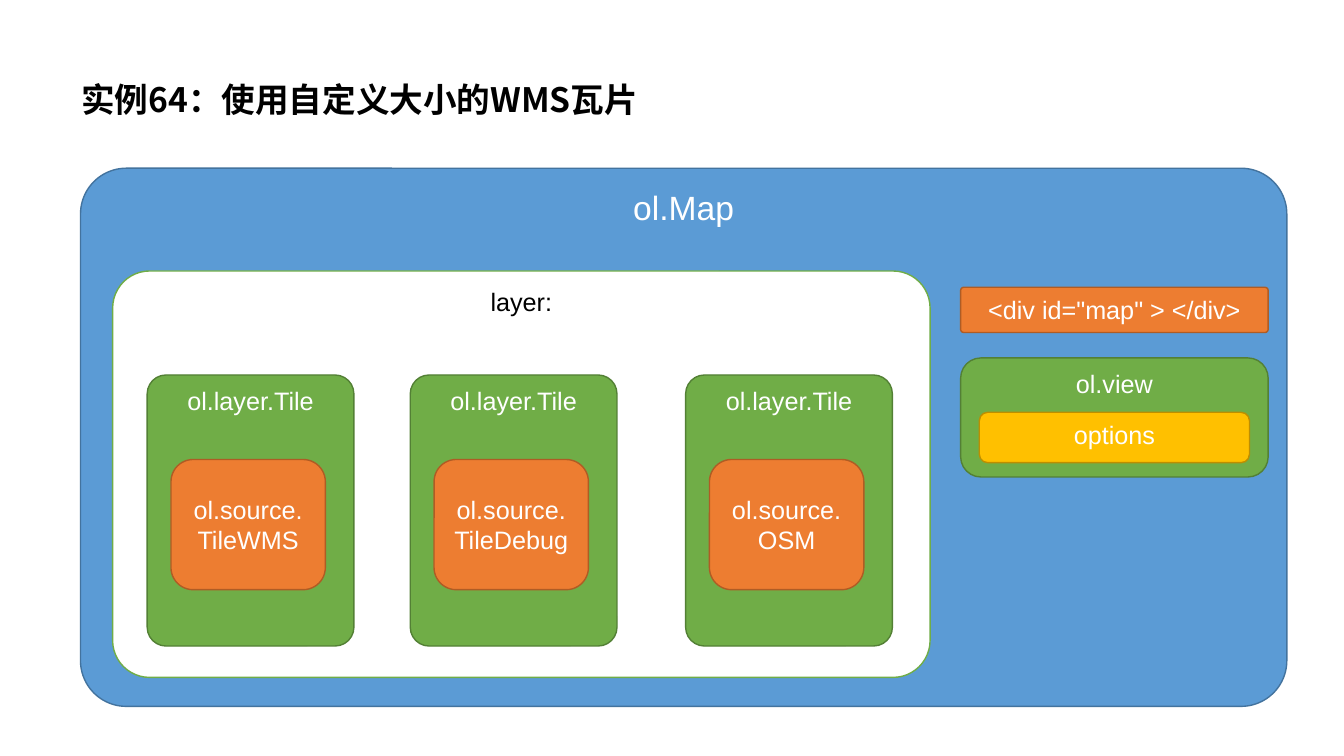
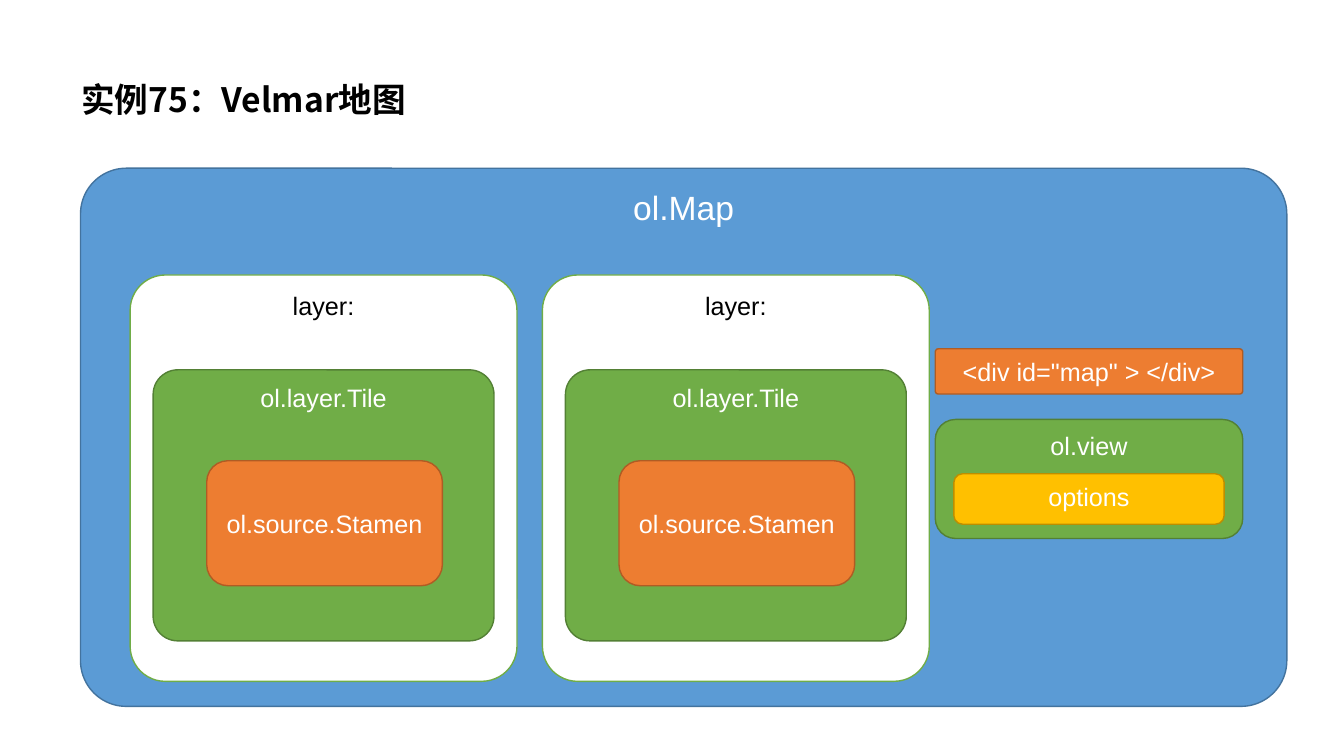
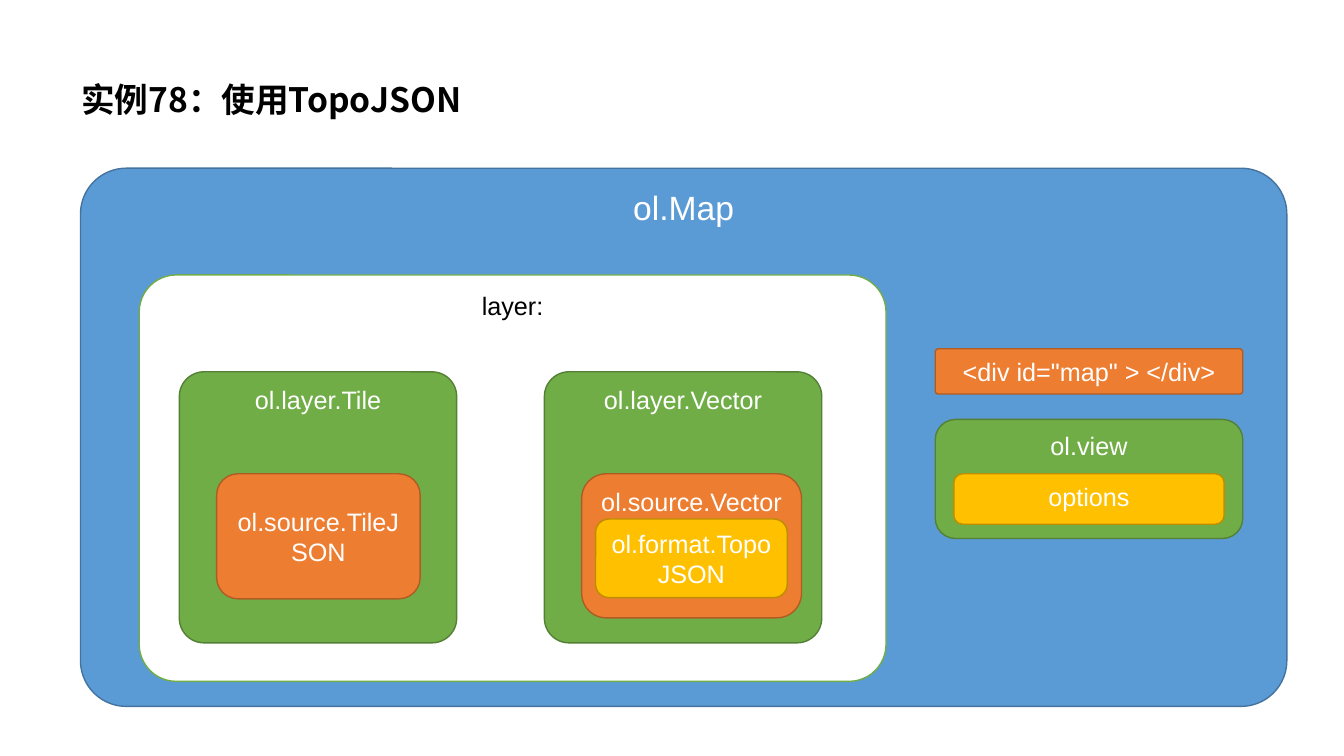
from dataclasses import dataclass, field
from typing import Any

import lxml.etree
import pptx
import pptx.dml.color
import pptx.enum.shapes
import pptx.enum.text
import pptx.oxml.ns
import pptx.util

Cm = pptx.util.Cm
Pt = pptx.util.Pt
Align = pptx.enum.text.PP_ALIGN
Anchor = pptx.enum.text.MSO_ANCHOR
ROUND = pptx.enum.shapes.MSO_SHAPE.ROUNDED_RECTANGLE


@dataclass(frozen=True)
class Style:
    fill: str
    line: str
    ink: str = "FFFFFF"
    size: int = 18
    curve: float = 0.17
    mid: bool = False


@dataclass(frozen=True)
class Theme:
    ink: str = "000000"
    head_face: str = "Noto Sans CJK SC"
    face: str = "Arial"
    head_size: int = 24
    edge: int = 1
    map: Style = Style("5B9BD5", "43739E", size=24, curve=0.085)
    layer: Style = Style("FFFFFF", "70AD47", ink="000000", curve=0.091)
    tile: Style = Style("70AD47", "538035", curve=0.091)
    source: Style = Style("ED7D31", "AF5C24", mid=True)
    outer: Style = Style("ED7D31", "AF5C24")
    div: Style = Style("ED7D31", "AF5C24", curve=0.069, mid=True)
    view: Style = Style("70AD47", "538035")
    inner: Style = Style("FFC000", "BD8E00")


@dataclass(frozen=True)
class Box:
    text: str
    style: Style
    left: float
    top: float
    width: float
    height: float


@dataclass(frozen=True)
class Page:
    title: str
    side: tuple[float, float]
    boxes: list[Box] = field(default_factory=list)


THEME = Theme()


def put(target: Any, values: dict[str, Any]) -> None:
    for name, value in values.items():
        setattr(target, name, value)


def color(code: str) -> pptx.dml.color.RGBColor:
    return pptx.dml.color.RGBColor.from_string(code)


def draw_box(shapes: Any, box: Box) -> None:
    style = box.style
    shape = shapes.add_shape(
        ROUND, Cm(box.left), Cm(box.top), Cm(box.width), Cm(box.height))
    shape.shadow.inherit = False
    shape.adjustments[0] = style.curve
    shape.fill.solid()
    shape.fill.fore_color.rgb = color(style.fill)
    shape.line.color.rgb = color(style.line)
    shape.line.width = Pt(THEME.edge)
    frame = shape.text_frame
    put(frame, {
        "word_wrap": True,
        "vertical_anchor": Anchor.MIDDLE if style.mid else Anchor.TOP,
        "text": box.text,
    })
    line = frame.paragraphs[0]
    line.alignment = Align.CENTER
    font = line.runs[0].font
    put(font, {"name": THEME.face, "size": Pt(style.size)})
    font.color.rgb = color(style.ink)


def draw_title(slide: Any, text: str) -> None:
    shape = slide.shapes.add_textbox(Cm(1.8), Cm(0.71), Cm(29.21), Cm(3.68))
    frame = shape.text_frame
    put(frame, {"word_wrap": True, "vertical_anchor": Anchor.MIDDLE, "text": text})
    line = frame.paragraphs[0]
    line.line_spacing = 0.9
    run = line.runs[0]
    put(run.font, {
        "name": THEME.head_face, "size": Pt(THEME.head_size), "bold": True})
    run.font.color.rgb = color(THEME.ink)
    east = lxml.etree.SubElement(
        run._r.get_or_add_rPr(), pptx.oxml.ns.qn("a:ea"))
    east.set("typeface", THEME.head_face)


def draw_side(slide: Any, left: float, top: float) -> None:
    draw_box(slide.shapes, Box(
        '<div id="map" > </div>', THEME.div, left, top, 7.75, 1.14))
    group = slide.shapes.add_group_shape()
    draw_box(group.shapes, Box(
        "ol.view", THEME.view, left, top + 1.78, 7.75, 3))
    draw_box(group.shapes, Box(
        "options", THEME.inner, left + 0.47, top + 3.15, 6.81, 1.27))


def draw_page(deck: Any, page: Page) -> None:
    slide = deck.slides.add_slide(deck.slide_layouts[6])
    draw_title(slide, page.title)
    draw_box(slide.shapes, Box("ol.Map", THEME.map, 2.03, 4.24, 30.4, 13.56))
    draw_side(slide, *page.side)
    for box in page.boxes:
        draw_box(slide.shapes, box)


def layer(left: float, top: float, width: float) -> Box:
    return Box("layer:", THEME.layer, left, top, width, 10.24)


def tile(left: float, top: float, width: float, kind: str = "Tile") -> Box:
    return Box(f"ol.layer.{kind}", THEME.tile, left, top, width, 6.83)


def wms_page() -> Page:
    boxes = [layer(2.84, 6.83, 20.6)]
    for left, kind in ((3.71, "TileWMS"), (10.34, "TileDebug"), (17.28, "OSM")):
        boxes += [
            tile(left, 9.45, 5.21),
            Box(f"ol.source.{kind}", THEME.source, left + 0.6, 11.58, 3.89, 3.28),
        ]
    return Page("实例64：使用自定义大小的WMS瓦片", (24.21, 7.24), boxes)


def style_page() -> Page:
    boxes = []
    for col in range(2):
        left = 3.28 + col * 10.39
        boxes += [
            layer(left, 6.93, 9.75),
            tile(left + 0.58, 9.32, 8.59),
            Box("ol.source.Stamen", THEME.source, left + 1.93, 11.61, 5.94, 3.15),
        ]
    return Page("实例75：Velmar地图", (23.57, 8.79), boxes)


def topo_page() -> Page:
    return Page("实例78：使用TopoJSON", (23.57, 8.79), [
        layer(3.51, 6.93, 18.82),
        tile(4.52, 9.37, 6.99),
        Box("ol.source.TileJSON", THEME.source, 5.46, 11.94, 5.13, 3.15),
        tile(13.72, 9.37, 6.99, "Vector"),
        Box("ol.source.Vector", THEME.outer, 14.66, 11.94, 5.54, 3.63),
        Box("ol.format.TopoJSON", THEME.inner, 15.01, 13.08, 4.83, 1.98),
    ])


def main() -> None:
    deck = pptx.Presentation()
    put(deck, {"slide_width": Cm(33.87), "slide_height": Cm(19.05)})
    for page in (wms_page(), style_page(), topo_page()):
        draw_page(deck, page)
    deck.save("out.pptx")


if __name__ == "__main__":
    main()
